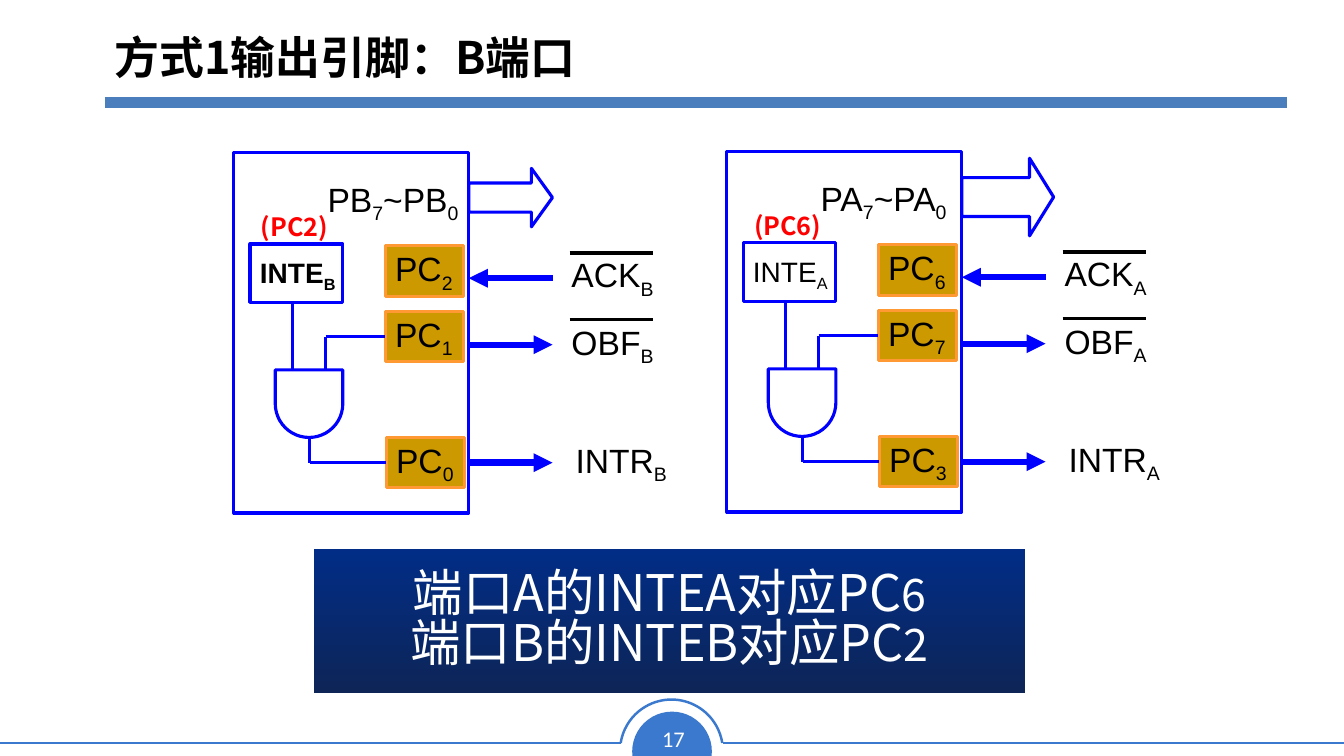
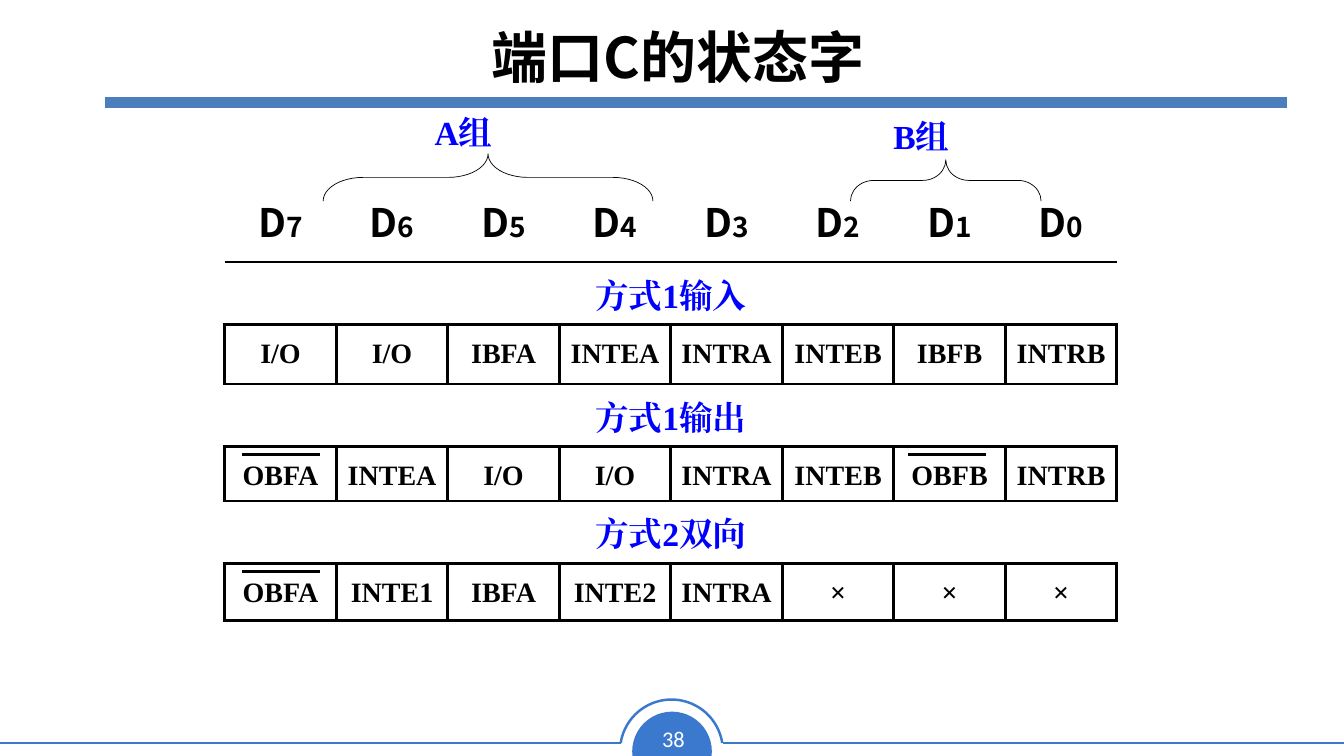
from lxml.etree import SubElement
from pptx import Presentation
from pptx.dml.color import RGBColor
from pptx.enum.shapes import MSO_CONNECTOR, MSO_SHAPE
from pptx.enum.text import MSO_ANCHOR, PP_ALIGN
from pptx.oxml.ns import qn
from pptx.util import Inches, Pt

WHITE = RGBColor(0xFF, 0xFF, 0xFF)
BLACK = RGBColor(0, 0, 0)
BLUE = RGBColor(0, 0, 0xFF)
RED = RGBColor(0xFF, 0, 0)
FOOTER_BLUE = RGBColor(0x3B, 0x79, 0xCE)
RULE_BLUE = RGBColor(0x4B, 0x7E, 0xBC)
PIN_FILL = RGBColor(0xCC, 0x99, 0)
PIN_EDGE = RGBColor(0xFF, 0x99, 0x33)
BANNER_TOP = RGBColor(0x01, 0x2D, 0x86)
BANNER_BOTTOM = RGBColor(0x0E, 0x25, 0x57)
CJK_FONT = "Noto Sans CJK SC"
SERIF_FONT = "Times New Roman"


def write_text(target, *lines, size=24, font="Arial", color=BLACK, bold=False,
               align=PP_ALIGN.LEFT, anchor=MSO_ANCHOR.MIDDLE, wrap=False,
               spacing=None, small_size=None, margin=None):
    """Fill a shape or cell; each "_" switches to small text (a subscript unless sized) and back."""
    frame = target.text_frame
    frame.word_wrap = wrap
    frame.vertical_anchor = anchor
    if margin is not None:
        frame.margin_left = frame.margin_right = frame.margin_top = frame.margin_bottom = margin
    for number, line in enumerate(lines):
        para = frame.add_paragraph() if number else frame.paragraphs[0]
        para.alignment = align
        para.line_spacing = spacing
        for position, piece in enumerate(line.split("_")):
            if not piece:
                continue
            small = position % 2 == 1
            span = para.add_run()
            span.text = piece
            span.font.name = font
            span.font.size = Pt(small_size if small and small_size else size)
            span.font.bold = bold
            span.font.color.rgb = color
            properties = span.font._element
            SubElement(properties, qn("a:ea")).set("typeface", font)
            if small and not small_size:
                properties.set("baseline", "-25000")


def style(shape, fill=None, line=None, width=2.25, arrow=False):
    """Set fill and line of a shape or connector and take its shadow away."""
    if hasattr(shape, "fill"):
        if fill is None:
            shape.fill.background()
        else:
            shape.fill.solid()
            shape.fill.fore_color.rgb = fill
    if line is None:
        shape.line.fill.background()
    else:
        shape.line.color.rgb = line
        shape.line.width = Pt(width)
    if arrow:
        SubElement(shape.line._get_or_add_ln(), qn("a:tailEnd")).set("type", "triangle")
    SubElement(shape._element.spPr, qn("a:effectLst"))
    return shape


deck = Presentation()
deck.slide_width, deck.slide_height = Inches(13.33), Inches(7.5)

# Title, rule and footer of every slide
pages = []
for title, title_size, title_align, page_number in (
        ("方式1输出引脚：B端口", 32, PP_ALIGN.LEFT, "17"),
        ("端口C的状态字", 40, PP_ALIGN.CENTER, "38")):
    page = deck.slides.add_slide(deck.slide_layouts[6])
    page.background.fill.solid()
    page.background.fill.fore_color.rgb = WHITE
    for kind, left, top, size, angles, fill, edge in (
            (MSO_SHAPE.CHORD, 6.27, 7.06, 0.79, (150, 30), FOOTER_BLUE, None),
            (MSO_SHAPE.ARC, 6.15, 6.94, 1.02, (189, 351), None, FOOTER_BLUE)):
        badge = page.shapes.add_shape(kind, Inches(left), Inches(top), Inches(size), Inches(size))
        for index, degrees in enumerate(angles):
            badge.adjustments[index] = degrees * 0.6  # 60000 units a degree, scaled by 100000
        style(badge, fill, edge, 1.77)
    for start, end, y, color, width in (
            (0, 6.16, 7.37, FOOTER_BLUE, 1.77),
            (7.17, 13.33, 7.37, FOOTER_BLUE, 1.77),
            (1.04, 12.76, 1.02, RULE_BLUE, 8)):
        style(page.shapes.add_connector(MSO_CONNECTOR.STRAIGHT, Inches(start), Inches(y),
                                        Inches(end), Inches(y)), line=color, width=width)
    box = page.shapes.add_textbox(Inches(6.45), Inches(7.14), Inches(0.46), Inches(0.37))
    write_text(box, page_number, size=16, font="Calibri", color=WHITE, align=PP_ALIGN.CENTER)
    box = page.shapes.add_textbox(Inches(1.04), Inches(0.1), Inches(11.37), Inches(0.92))
    write_text(box, title, size=title_size, font=CJK_FONT, bold=True, align=title_align, wrap=True)
    pages.append(page)
pins_page, status_page = pages

# Slide 1: the two ports, measured from the top left corner of each panel
shapes = pins_page.shapes
for port, left, top, pins, control, bold, bus, bus_head in (
        ("B", 2.32, 1.51, "210", "(PC2)", True, (0.16, 0.83, 0.58), 0.36),
        ("A", 7.21, 1.5, "673", "(PC6)", False, (0.07, 0.91, 0.77), 0.31)):
    panel = shapes.add_shape(MSO_SHAPE.RECTANGLE, Inches(left), Inches(top), Inches(2.33), Inches(3.58))
    style(panel, WHITE, BLUE)

    pin_boxes = []
    for pin, x, y in zip(pins, (1.5, 1.5, 1.51), (0.93, 1.58, 2.83)):
        pin_box = shapes.add_shape(MSO_SHAPE.RECTANGLE, Inches(left + x), Inches(top + y),
                                   Inches(0.78), Inches(0.5))
        style(pin_box, PIN_FILL, PIN_EDGE)
        write_text(pin_box, f"PC_{pin}")
        pin_boxes.append(pin_box)

    bus_top, bus_width, bus_height = bus
    bus_arrow = shapes.add_shape(MSO_SHAPE.RIGHT_ARROW, Inches(left + 2.33), Inches(top + bus_top),
                                 Inches(bus_width), Inches(bus_height))
    bus_arrow.adjustments[1] = bus_head
    style(bus_arrow, line=BLUE)
    gate = shapes.add_shape(MSO_SHAPE.FLOWCHART_DELAY, Inches(left + 0.41), Inches(top + 2.16),
                            Inches(0.67), Inches(0.67))
    gate.rotation = 90
    style(gate, line=BLUE)
    enable_box = shapes.add_shape(MSO_SHAPE.RECTANGLE, Inches(left + 0.16), Inches(top + 0.91),
                                  Inches(0.92), Inches(0.58))
    style(enable_box, line=BLUE)

    for x1, y1, x2, y2, color, width, arrow, pin_box in (
            (0.75, 2.83, 0.75, 3.08, BLUE, 2.25, False, None),
            (0.75, 3.08, 1.51, 3.08, BLUE, 2.25, False, pin_boxes[2]),
            (0.58, 1.5, 0.58, 2.16, BLUE, 2.25, False, None),
            (0.91, 1.83, 1.5, 1.83, BLUE, 2.25, False, pin_boxes[1]),
            (0.91, 1.83, 0.91, 2.16, BLUE, 2.25, False, None),
            (2.33, 3.08, 3.16, 3.08, BLUE, 4.5, True, None),
            (2.33, 1.91, 3.16, 1.91, BLUE, 4.5, True, None),
            (3.16, 1.25, 2.33, 1.25, BLUE, 4.5, True, None),
            (3.33, 1, 4.16, 1, BLACK, 2.25, False, None),
            (3.33, 1.66, 4.16, 1.66, BLACK, 2.25, False, None)):
        wire = shapes.add_connector(MSO_CONNECTOR.STRAIGHT, Inches(left + x1), Inches(top + y1),
                                    Inches(left + x2), Inches(top + y2))
        if pin_box is not None:
            wire.end_connect(pin_box, 1)
        style(wire, line=color, width=width, arrow=arrow)

    for label, x, y, width, height, look in (
            (f"P{port}_7_~P{port}_0", 0.83, 0.24, 1.52, 0.5, {}),
            (f"INTE_{port}", 0.16, 0.99, 0.96, 0.44, {"size": 20, "bold": bold}),
            (f"ACK_{port}", 3.25, 0.99, 1.03, 0.5, {}),
            (f"OBF_{port}", 3.25, 1.66, 1.03, 0.5, {}),
            (f"INTR_{port}", 3.29, 2.83, 1.12, 0.5, {}),
            (control, 0.17, 0.54, 1.19, 0.4,
             {"size": 18, "font": CJK_FONT, "color": RED, "bold": True,
              "anchor": MSO_ANCHOR.TOP, "wrap": True})):
        box = shapes.add_textbox(Inches(left + x), Inches(top + y), Inches(width), Inches(height))
        write_text(box, label, **look)

banner = shapes.add_shape(MSO_SHAPE.RECTANGLE, Inches(3.11), Inches(5.45), Inches(7.06), Inches(1.43))
style(banner)
banner.fill.gradient()
banner.fill.gradient_angle = 270
for stop, color in zip(banner.fill.gradient_stops, (BANNER_TOP, BANNER_BOTTOM)):
    stop.color.rgb = color
write_text(banner, "端口A的INTEA对应PC_6", "端口B的INTEB对应PC_2", size=36, small_size=32,
           font=CJK_FONT, color=WHITE, align=PP_ALIGN.CENTER, spacing=0.83)

# Slide 2: status word table
shapes = status_page.shapes
rows = (
    (0.74, [f"D_{bit}" for bit in range(7, -1, -1)]),
    (0.62, ["方式1输入"]),
    (0.59, ["I/O", "I/O", "IBFA", "INTEA", "INTRA", "INTEB", "IBFB", "INTRB"]),
    (0.62, ["方式1输出"]),
    (0.54, ["OBFA", "INTEA", "I/O", "I/O", "INTRA", "INTEB", "OBFB", "INTRB"]),
    (0.62, ["方式2双向"]),
    (0.57, ["OBFA", "INTE1", "IBFA", "INTE2", "INTRA", "×", "×", "×"]),
)
table = shapes.add_table(len(rows), 8, Inches(2.23), Inches(1.86), Inches(8.85), Inches(4.3)).table
table.first_row = table.horz_banding = False
plain_style = "{2D5ABB26-0587-4C30-8999-92F81FD0307C}"
table._tbl.tblPr.find(qn("a:tableStyleId")).text = plain_style
for column in table.columns:
    column.width = Inches(8.85 / 8)
for row_index, (height, texts) in enumerate(rows):
    table.rows[row_index].height = Inches(height)
    if row_index == 0:
        borders = {"B": 1}
        look = {"size": 28, "small_size": 20, "font": CJK_FONT}
    elif len(texts) == 1:
        borders = {"T": 1 if row_index == 1 else 2.25, "B": 2.25}
        look = {"font": SERIF_FONT, "color": BLUE, "spacing": 1.3}
        table.cell(row_index, 0).merge(table.cell(row_index, 7))
    else:
        borders = dict.fromkeys("LRTB", 2.25)
        look = {"size": 20, "font": SERIF_FONT, "spacing": 1.3}
    for column_index in range(8):
        cell = table.cell(row_index, column_index)
        properties = cell._tc.get_or_add_tcPr()
        for side, width in borders.items():
            border = SubElement(properties, qn(f"a:ln{side}"), w=str(Pt(width)))
            paint = SubElement(border, qn("a:solidFill"))
            SubElement(paint, qn("a:srgbClr")).set("val", str(BLACK))
        cell.fill.background()
        if column_index < len(texts):
            write_text(cell, texts[column_index], bold=True, align=PP_ALIGN.CENTER,
                       anchor=MSO_ANCHOR.TOP, wrap=True, **look)

# Group names with their braces, which are left braces turned upright
for group, left, top, center_x, center_y, length, depth, curve in (
        ("A组", 4.3, 1.1, 4.84, 1.76, 3.27, 0.47, 0.84),
        ("B组", 8.85, 1.14, 9.38, 1.79, 1.89, 0.41, 0.56)):
    box = shapes.add_textbox(Inches(left), Inches(top), Inches(1.19), Inches(0.43))
    write_text(box, group, font=SERIF_FONT, color=BLUE, bold=True, anchor=MSO_ANCHOR.TOP,
               wrap=True, margin=Inches(0.01))
    brace = shapes.add_shape(MSO_SHAPE.LEFT_BRACE, Inches(center_x - depth / 2),
                             Inches(center_y - length / 2), Inches(depth), Inches(length))
    brace.rotation = 90
    brace.adjustments[0] = curve
    style(brace, line=BLACK, width=0.5)

for x, y in ((2.4, 4.51), (2.4, 5.67), (9.01, 4.51)):
    style(shapes.add_connector(MSO_CONNECTOR.STRAIGHT, Inches(x), Inches(y),
                               Inches(x + 0.77), Inches(y)), line=BLACK)

deck.save("out.pptx")
